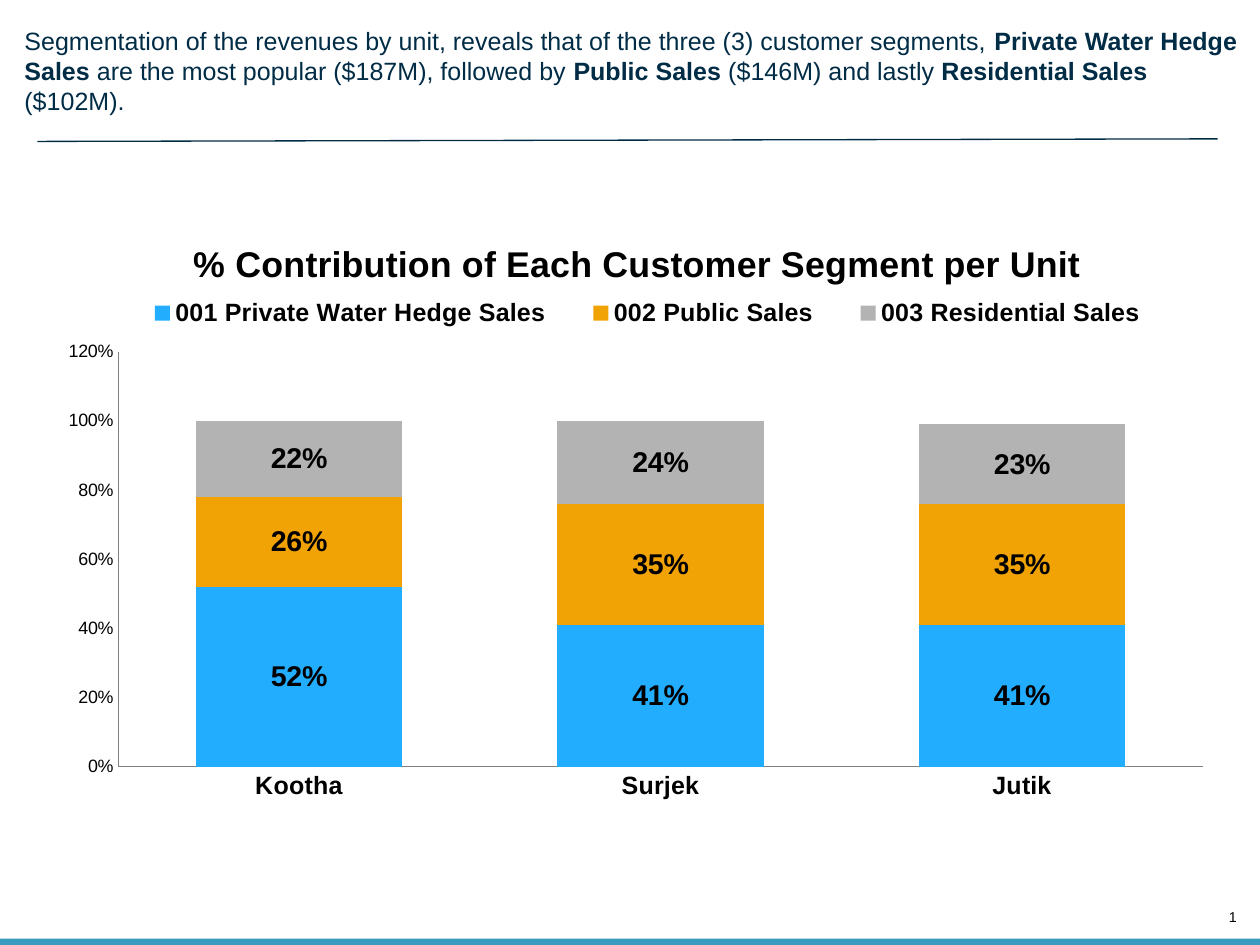
from lxml.etree import SubElement
from pptx import Presentation
from pptx.chart.data import CategoryChartData
from pptx.dml.color import RGBColor
from pptx.enum.chart import XL_CHART_TYPE, XL_LABEL_POSITION, XL_LEGEND_POSITION, XL_TICK_MARK
from pptx.enum.shapes import MSO_CONNECTOR, MSO_SHAPE
from pptx.enum.text import MSO_ANCHOR, MSO_AUTO_SIZE, PP_ALIGN
from pptx.oxml.ns import qn
from pptx.util import Inches, Pt

HEADLINE = [
    ("Segmentation of the revenues by unit, reveals that of the three (3) customer segments, ", False),
    ("Private Water Hedge Sales ", True),
    ("are the most popular ($187M), followed by ", False),
    ("Public Sales ", True),
    ("($146M) and lastly ", False),
    ("Residential Sales ", True),
    ("($102M).", False),
]
CHART_TITLE = "% Contribution of Each Customer Segment per Unit"
UNITS = ["Kootha", "Surjek", "Jutik"]
SEGMENTS = [
    ("001 Private Water Hedge Sales", (0.52, 0.41, 0.41), "23ADFF"),
    ("002 Public Sales", (0.26, 0.35, 0.35), "F1A205"),
    ("003 Residential Sales", (0.22, 0.24, 0.23), "B3B3B3"),
]
THEME = {
    "font": "Arial", "navy": "002C46", "black": "000000", "band": "379BBD", "axis": "808080",
    "headline": 14, "chart_title": 20, "label": 16, "category": 14, "scale": 10, "page": 8,
}
W, H = 9.8, 7.35


def rgb(value):
    return RGBColor.from_string(value)


def style(target, **values):
    for name, value in values.items():
        setattr(target, name, value)


def set_font(font, size, color="black", bold=False):
    style(font, name=THEME["font"], size=Pt(THEME[size]), bold=bold)
    font.color.rgb = rgb(THEME[color])


def set_frame(tf, **values):
    style(tf, margin_left=0, margin_top=0, margin_right=0, margin_bottom=0,
          auto_size=MSO_AUTO_SIZE.NONE, **values)


def place(element, index, **values):
    old = element.find(qn("c:layout"))
    if old is not None:
        element.remove(old)
    layout = SubElement(element, qn("c:layout"))
    manual = SubElement(layout, qn("c:manualLayout"))
    for tag, value in values.items():
        SubElement(manual, qn(f"c:{tag}")).set("val", str(value))
    element.insert(index, layout)


def add_headline(s):
    title = s.shapes.title
    style(title, left=Inches(0.19), top=Inches(0.2), width=Inches(9.56), height=Inches(0.47))
    set_frame(title.text_frame, word_wrap=True, vertical_anchor=MSO_ANCHOR.TOP)
    p = title.text_frame.paragraphs[0]
    style(p, alignment=PP_ALIGN.LEFT, space_before=Pt(0), line_spacing=1.0)
    for text, bold in HEADLINE:
        r = p.add_run()
        r.text = text
        set_font(r.font, "headline", "navy", bold)
    rule = s.shapes.add_connector(MSO_CONNECTOR.STRAIGHT, Inches(0.29), Inches(1.1),
                                  Inches(9.47), Inches(1.08))
    rule.line.color.rgb = rgb(THEME["navy"])
    rule.line.width = Pt(0.75)
    SubElement(rule._element.spPr, qn("a:effectLst"))


def add_footer(s):
    band = s.shapes.add_shape(MSO_SHAPE.RECTANGLE, 0, Inches(H - 0.05), Inches(W), Inches(0.05))
    band.shadow.inherit = False
    band.fill.solid()
    band.fill.fore_color.rgb = rgb(THEME["band"])
    band.line.fill.background()
    page = s.shapes.add_textbox(Inches(9.48), Inches(7.07), Inches(0.14), Inches(0.13))
    set_frame(page.text_frame, word_wrap=False, vertical_anchor=MSO_ANCHOR.BOTTOM)
    p = page.text_frame.paragraphs[0]
    p.alignment = PP_ALIGN.RIGHT
    r = p.add_run()
    r.text = "1"
    set_font(r.font, "page")


def add_segment_chart(s):
    data = CategoryChartData(number_format="0%")
    data.categories = UNITS
    for name, values, _ in SEGMENTS:
        data.add_series(name, values)
    chart = s.shapes.add_chart(XL_CHART_TYPE.COLUMN_STACKED, Inches(0.35), Inches(1.64),
                               Inches(9.19), Inches(4.68), data).chart
    set_font(chart.font, "scale")

    tf = chart.chart_title.text_frame
    tf.text = CHART_TITLE
    set_font(tf.paragraphs[0].runs[0].font, "chart_title", bold=True)
    place(chart.chart_title._element, 1, xMode="edge", yMode="edge", x=0.12, y=0.04)

    chart.has_legend = True
    style(chart.legend, position=XL_LEGEND_POSITION.TOP, include_in_layout=False)
    set_font(chart.legend.font, "category", bold=True)
    place(chart.legend._element, 1, xMode="edge", yMode="edge", x=0.06, y=0.13, w=0.9, h=0.08)

    plot = chart.plots[0]
    style(plot, gap_width=75, overlap=100, vary_by_categories=False)
    for series, (_, _, color) in zip(plot.series, SEGMENTS):
        series.format.fill.solid()
        series.format.fill.fore_color.rgb = rgb(color)
        labels = series.data_labels
        style(labels, show_value=True, number_format="0%", number_format_is_linked=False,
              position=XL_LABEL_POSITION.CENTER)
        set_font(labels.font, "label", bold=True)

    for axis, size, bold in ((chart.category_axis, "category", True), (chart.value_axis, "scale", False)):
        style(axis, major_tick_mark=XL_TICK_MARK.NONE, minor_tick_mark=XL_TICK_MARK.NONE,
              has_major_gridlines=False)
        set_font(axis.tick_labels.font, size, bold=bold)
        axis.format.line.color.rgb = rgb(THEME["axis"])
    style(chart.value_axis, minimum_scale=0, maximum_scale=1.2, major_unit=0.2)
    style(chart.value_axis.tick_labels, number_format="0%", number_format_is_linked=False)
    place(chart._chartSpace.chart.plotArea, 0, layoutTarget="inner", xMode="edge", yMode="edge",
          x=0.062, y=0.234, w=0.918, h=0.69)


def main():
    prs = Presentation()
    style(prs, slide_width=Inches(W), slide_height=Inches(H))
    s = prs.slides.add_slide(prs.slide_layouts[5])
    add_footer(s)
    add_headline(s)
    add_segment_chart(s)
    prs.save("out.pptx")


if __name__ == "__main__":
    main()
